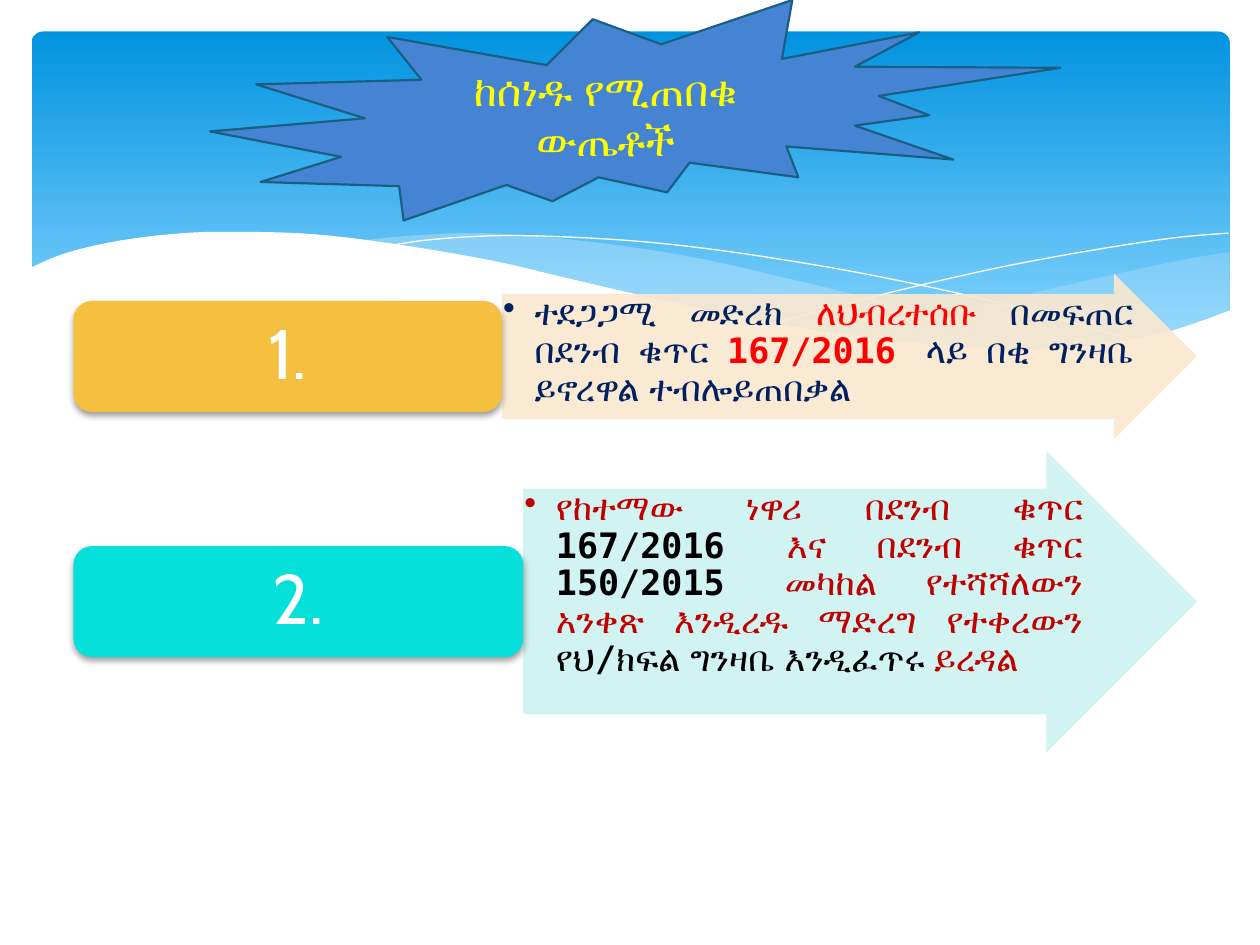
from dataclasses import dataclass

import pptx
import pptx.util
import pptx.dml.color
import pptx.enum.shapes
import pptx.enum.text
import pptx.oxml
import pptx.oxml.ns

Pt = pptx.util.Pt
PRESET = pptx.enum.shapes.MSO_SHAPE
ALIGN = pptx.enum.text.PP_ALIGN
ANCHOR = pptx.enum.text.MSO_ANCHOR


@dataclass(frozen=True)
class Theme:
    body_font: str = "DejaVu Sans Mono"
    number_font: str = "Cabin"
    title_size: int = 24
    body_size: int = 20
    number_size: int = 40
    white: str = "FFFFFF"
    black: str = "000000"
    sky_top: str = "0293E0"
    sky_bottom: str = "83D3FE"
    haze: str = "C6E7FC"
    seal: str = "4584D3"
    seal_edge: str = "195F84"
    yellow: str = "FFFF00"
    navy: str = "002060"
    red: str = "FF0000"
    crimson: str = "C00000"
    amber: str = "F5C040"
    cream: str = "FBE8CF"
    cyan: str = "05E0DB"
    mint: str = "CCF3F1"


THEME = Theme()

HAZE_RIGHT = [
    [(684.7, 126), (655.2, 131), (601.9, 142.6), (542.9, 156.2), (490.3, 167), (457.9, 172.8)],
    [(457.9, 172.8), (489.6, 177.1), (527, 180.7), (568.1, 182.2), (603.4, 180),
     (633.6, 175.7), (660.2, 168.5), (684.7, 159.8)],
]
HAZE_MIDDLE = [
    [(187.9, 119.5), (218.2, 116.6), (255.6, 115.2), (300.2, 118.1), (352.1, 124.6),
     (391.7, 131.8), (434.9, 141.8), (490.3, 154.8), (540, 164.9), (584.6, 172.8), (625, 178.6)],
    [(625, 178.6), (592.6, 181.4), (563, 182.2), (529.9, 181.4), (492.5, 177.8), (450, 172.1),
     (402.5, 163.4), (363.6, 154.8), (305.3, 141.8), (257.8, 131), (228.2, 125.3), (187.9, 119.5)],
]
FALLING_STRAND = [
    [(204.5, 122.4), (229.7, 118.8), (270.7, 116.6), (319.7, 118.1), (365.8, 121.7),
     (419.8, 128.9), (482.4, 139.7), (554.4, 155.5), (635, 177.8)],
]
RISING_STRAND = [
    [(423.4, 167), (482.4, 151.2), (540.7, 137.5), (583.9, 128.9), (626.4, 121.7),
     (657.4, 117.4), (684, 115.2)],
]
WHITE_WAVE = [
    [(-1.4, 135.4), (19.4, 126.7), (50.4, 119.5), (87.1, 115.2), (121, 114.5), (162, 115.9),
     (209.5, 121.7), (263.5, 131), (303.8, 140.4), (362.9, 154.1), (416.2, 164.9), (463, 172.8),
     (504.7, 177.8), (542.2, 180.7), (574.6, 181.4), (612, 178.6), (644.4, 172.8),
     (666, 166.3), (685.4, 159.1)],
    [(685.4, 218.9), (-1.4, 218.9)],
]


def rgb(colour):
    return pptx.dml.color.RGBColor.from_string(colour)


def paint(shape, colour, opacity=100):
    shape.shadow.inherit = False
    shape.line.fill.background()
    shape.fill.solid()
    shape.fill.fore_color.rgb = rgb(colour)
    if opacity < 100:
        tint = shape.fill._xPr.find(".//" + pptx.oxml.ns.qn("a:srgbClr"))
        alpha = pptx.oxml.parse_xml(
            f'<a:alpha {pptx.oxml.ns.nsdecls("a")} val="{opacity * 1000}"/>')
        tint.append(alpha)


def drop_shadow(shape):
    effects = shape._element.spPr.find(pptx.oxml.ns.qn("a:effectLst"))
    effects.append(pptx.oxml.parse_xml(
        f'<a:outerShdw {pptx.oxml.ns.nsdecls("a")} blurRad="{Pt(4)}" dist="{Pt(2)}" '
        'dir="5400000" algn="ctr" rotWithShape="0">'
        f'<a:srgbClr val="{THEME.black}"><a:alpha val="38000"/></a:srgbClr></a:outerShdw>'))


def add_run(paragraph, text, font, size, colour, bold=False):
    run = paragraph.add_run()
    run.text = text
    run.font.name = font
    run.font.size = Pt(size)
    run.font.bold = bold
    run.font.color.rgb = rgb(colour)


def set_frame(frame, anchor, side, end):
    frame.word_wrap = True
    frame.vertical_anchor = anchor
    frame.margin_left = frame.margin_right = Pt(side)
    frame.margin_top = frame.margin_bottom = Pt(end)


def smooth_points(knots, steps=5):
    if len(knots) < 3:
        return knots
    padded = [knots[0], *knots, knots[-1]]
    points = [knots[0]]
    for a, b, c, d in zip(padded, padded[1:], padded[2:], padded[3:]):
        for step in range(1, steps + 1):
            t = step / steps
            points.append(tuple(
                q + t / 2 * (r - p + t * (2 * p - 5 * q + 4 * r - s + t * (3 * (q - r) + s - p)))
                for p, q, r, s in zip(a, b, c, d)))
    return points


def add_wave(slide, left, top, edges, closed=True):
    points = [(Pt(left + x), Pt(top + y)) for edge in edges for x, y in smooth_points(edge)]
    outline = slide.shapes.build_freeform(*points[0])
    outline.add_line_segments(points[1:], close=closed)
    return outline.convert_to_shape()


def add_sky(slide, left, top, width, height):
    sky = slide.shapes.add_shape(
        PRESET.ROUNDED_RECTANGLE, Pt(left), Pt(top), Pt(width), Pt(height))
    sky.adjustments[0] = 0.034
    sky.shadow.inherit = False
    sky.line.fill.background()
    sky.fill.gradient()
    sky.fill.gradient_angle = 270
    shades = ((0, THEME.sky_top), (0.9, THEME.sky_bottom))
    for stop, (position, colour) in zip(sky.fill.gradient_stops, shades):
        stop.position = position
        stop.color.rgb = rgb(colour)

    paint(add_wave(slide, left, top, HAZE_RIGHT), THEME.haze, 29)
    paint(add_wave(slide, left, top, HAZE_MIDDLE), THEME.haze, 40)
    for strand_edges in (FALLING_STRAND, RISING_STRAND):
        strand = add_wave(slide, left, top, strand_edges, closed=False)
        strand.shadow.inherit = False
        strand.fill.background()
        strand.line.color.rgb = rgb(THEME.white)
        strand.line.width = Pt(0)
    paint(add_wave(slide, left, top, WHITE_WAVE), THEME.white)


def add_heading(slide, left, top, width, height, text):
    seal = slide.shapes.add_shape(
        PRESET.EXPLOSION2, Pt(left), Pt(top), Pt(width), Pt(height))
    paint(seal, THEME.seal)
    seal.line.color.rgb = rgb(THEME.seal_edge)
    seal.line.width = Pt(1.25)

    title = slide.shapes.title
    slide.shapes._spTree.append(title._element)
    title.left, title.top = Pt(left + 0.25 * width), Pt(top + 0.3 * height)
    title.width, title.height = Pt(0.43 * width), Pt(0.44 * height)
    set_frame(title.text_frame, ANCHOR.MIDDLE, 7.2, 3.6)
    title.text_frame.auto_size = pptx.enum.text.MSO_AUTO_SIZE.NONE
    paragraph = title.text_frame.paragraphs[0]
    paragraph.alignment = ALIGN.CENTER
    add_run(paragraph, text, THEME.body_font, THEME.title_size, THEME.yellow, True)


def add_outcome(slide, left, top, width, height, label_width, number, label_colour,
                arrow_colour, runs):
    arrow = slide.shapes.add_shape(
        PRESET.RIGHT_ARROW, Pt(left + label_width), Pt(top),
        Pt(width - label_width), Pt(height))
    arrow.adjustments[0], arrow.adjustments[1] = 0.75, 0.5
    paint(arrow, arrow_colour, 90)
    set_frame(arrow.text_frame, ANCHOR.TOP, 0.72, 0.72)
    outcome = arrow.text_frame.paragraphs[0]
    properties = outcome._p.get_or_add_pPr()
    properties.set("marL", str(Pt(18)))
    properties.set("indent", str(-Pt(18)))
    properties.append(pptx.oxml.parse_xml(
        f'<a:buChar {pptx.oxml.ns.nsdecls("a")} char="•"/>'))
    outcome.level = 1
    outcome.alignment = ALIGN.JUSTIFY
    outcome.line_spacing = 0.9
    for text, colour in runs:
        add_run(outcome, text, THEME.body_font, THEME.body_size, colour, True)

    label_height = 63.4
    label = slide.shapes.add_shape(
        PRESET.ROUNDED_RECTANGLE, Pt(left), Pt(top + (height - label_height) / 2),
        Pt(label_width), Pt(label_height))
    paint(label, label_colour)
    drop_shadow(label)
    set_frame(label.text_frame, ANCHOR.MIDDLE, 12, 6)
    numeral = label.text_frame.paragraphs[0]
    numeral.alignment = ALIGN.CENTER
    numeral.line_spacing = 0.9
    add_run(numeral, number, THEME.number_font, THEME.number_size, THEME.white)


def main():
    deck = pptx.Presentation()
    deck.slide_width, deck.slide_height = Pt(720), Pt(540)
    slide = deck.slides.add_slide(deck.slide_layouts[5])
    add_sky(slide, 18, 18, 684.7, 194.4)
    add_heading(slide, 120, 0, 486, 126, "ከሰነዱ የሚጠበቁ ውጤቶች")
    add_outcome(slide, 42, 156.2, 642, 95, 244.8, "1.", THEME.amber, THEME.cream, [
        ("ተደጋጋሚ መድረክ ", THEME.navy),
        ("ለህብረተሰቡ ", THEME.red),
        ("በመፍጠር በደንብ ቁጥር ", THEME.navy),
        ("167/2016 ", THEME.red),
        ("ላይ በቂ ግንዛቤ ይኖረዋል ተብሎይጠበቃል", THEME.navy),
    ])
    add_outcome(slide, 42, 257.8, 642, 172, 257, "2.", THEME.cyan, THEME.mint, [
        ("የከተማው ነዋሪ በደንብ ቁጥር ", THEME.crimson),
        ("167/2016 ", THEME.black),
        ("እና በደንብ ቁጥር ", THEME.crimson),
        ("150/2015 ", THEME.black),
        ("መካከል የተሻሻለውን አንቀጽ እንዲረዱ ማድረግ የተቀረውን ", THEME.crimson),
        ("የህ/ክፍል ግንዛቤ እንዲፈጥሩ ", THEME.black),
        ("ይረዳል", THEME.crimson),
    ])
    deck.save("out.pptx")


if __name__ == "__main__":
    main()
